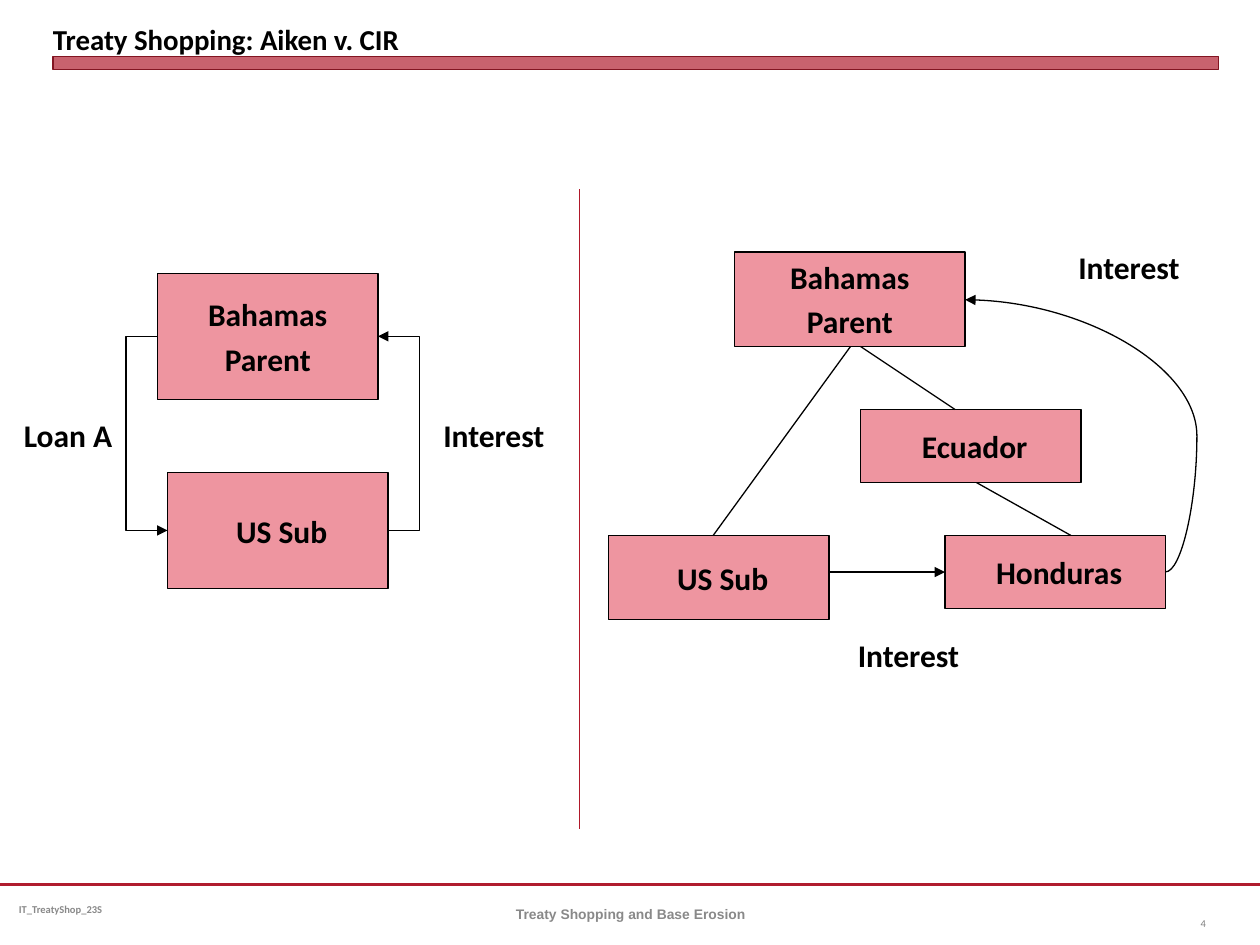
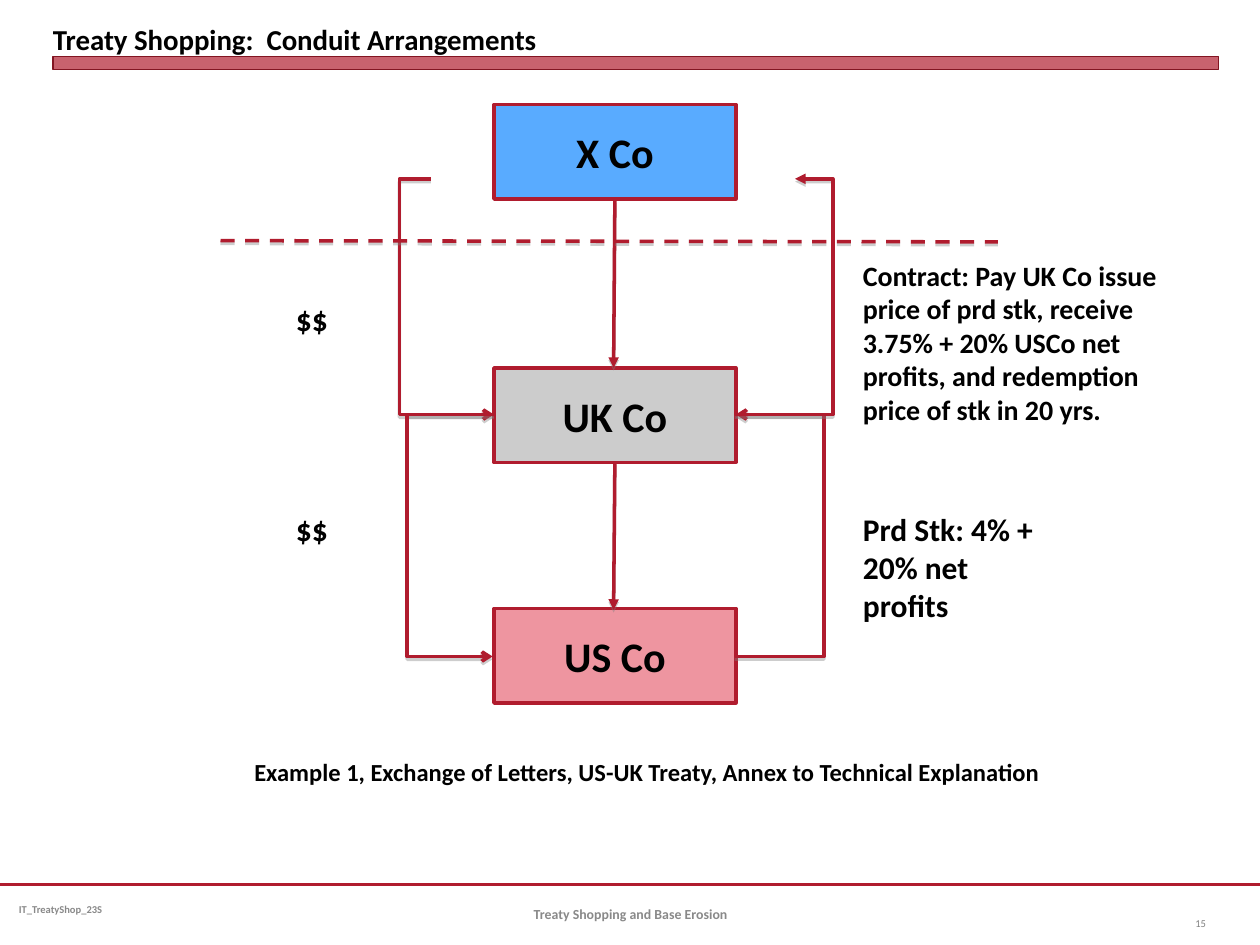
from lxml import etree
from pptx import Presentation
from pptx.dml.color import RGBColor
from pptx.enum.dml import MSO_LINE
from pptx.enum.shapes import MSO_CONNECTOR, MSO_SHAPE
from pptx.enum.text import MSO_ANCHOR, PP_ALIGN
from pptx.oxml.ns import qn
from pptx.util import Inches, Pt

RECT = MSO_SHAPE.RECTANGLE
STRAIGHT, ELBOW, CURVE = MSO_CONNECTOR.STRAIGHT, MSO_CONNECTOR.ELBOW, MSO_CONNECTOR.CURVE
LEFT, MID, RIGHT = PP_ALIGN.LEFT, PP_ALIGN.CENTER, PP_ALIGN.RIGHT
CENTRE, BOTTOM = MSO_ANCHOR.MIDDLE, MSO_ANCHOR.BOTTOM

HEX = {"red": "B01C2E", "edge": "821522", "split": "B0182A", "pink": "EE95A0",
       "blue": "59ABFF", "grey": "CCCCCC", "black": "000000",
       "foot": "898989", "page": "808080", "shade": "808080"}
FONT = "Calibri"
CODE, COURSE = "IT_TreatyShop_23S", "Treaty Shopping and Base Erosion"

# Boxes: text, left, top, width, height, fill, left inset
# Lines: kind, from, to, x of the bend, arrowhead
# Labels: text, left, top, width, height, size, alignment
AIKEN = {
    "title": "Treaty Shopping: Aiken v. CIR", "page": "4", "font": "Arial",
    "ink": "black", "weight": 0.75, "size": 18, "shade": False,
    "boxes": [
        ("Bahamas\nParent", 1.25, 2.17, 1.75, 1, "pink", 0.1),
        ("US Sub", 1.33, 3.75, 1.75, 0.92, "pink", 0.16),
        ("Bahamas\nParent", 5.83, 2, 1.83, 0.75, "pink", 0.1),
        ("Ecuador", 6.83, 3.25, 1.75, 0.58, "pink", 0.16),
        ("US Sub", 4.83, 4.25, 1.75, 0.67, "pink", 0.16),
        ("Honduras", 7.5, 4.25, 1.75, 0.58, "pink", 0.16),
    ],
    "lines": [
        (ELBOW, (1.25, 2.67), (1.33, 4.21), 1, "triangle"),
        (ELBOW, (3.08, 4.21), (3, 2.67), 3.33, "triangle"),
        (STRAIGHT, (6.75, 2.75), (5.66, 4.25), None, None),
        (STRAIGHT, (6.83, 2.75), (7.58, 3.25), None, None),
        (STRAIGHT, (7.75, 3.83), (8.5, 4.25), None, None),
        (STRAIGHT, (6.58, 4.54), (7.5, 4.54), None, "triangle"),
        (CURVE, (9.25, 4.54), (7.66, 2.38), 9.5, "triangle"),
    ],
    "labels": [
        ("Loan A", -0.17, 3.25, 1.42, 0.4, 18, MID),
        ("Interest", 3.21, 3.25, 1.42, 0.4, 18, MID),
        ("Interest", 8.25, 1.92, 1.42, 0.4, 18, MID),
        ("Interest", 6.5, 5, 1.42, 0.4, 18, MID),
    ],
}
CONDUIT = {
    "title": "Treaty Shopping:  Conduit Arrangements", "page": "15", "font": FONT,
    "ink": "red", "weight": 2, "size": 24, "shade": True,
    "boxes": [
        ("X Co", 3.92, 0.83, 1.92, 0.75, "blue", 0.1),
        ("UK Co", 3.92, 2.92, 1.92, 0.75, "grey", 0.1),
        ("US Co", 3.92, 4.83, 1.92, 0.75, "pink", 0.1),
    ],
    "lines": [
        (STRAIGHT, (4.88, 1.59), (4.87, 2.92), None, "triangle"),
        (STRAIGHT, (4.88, 3.67), (4.87, 4.84), None, "triangle"),
        (ELBOW, (3.42, 1.42), (3.92, 3.29), 3.17, "arrow"),
        (ELBOW, (3.92, 3.29), (3.91, 5.21), 3.22, "arrow"),
        (ELBOW, (5.83, 5.21), (5.84, 3.29), 6.55, "arrow"),
        (ELBOW, (5.83, 3.29), (6.31, 1.42), 6.61, "triangle"),
    ],
    "labels": [
        ("$$", 2.25, 2.33, 0.92, 0.42, 18, LEFT),
        ("$$", 2.25, 4, 0.92, 0.42, 18, LEFT),
        ("Contract: Pay UK Co issue price of prd stk, receive 3.75% + 20% USCo net "
         "profits, and redemption price of stk in 20 yrs.", 6.75, 2, 2.67, 1.45, 16, LEFT),
        ("Prd Stk: 4% + 20% net profits", 6.75, 4, 1.58, 1.01, 18, LEFT),
        ("Example 1, Exchange of Letters, US-UK Treaty, Annex to Technical Explanation",
         1.92, 5.96, 6.67, 0.34, 14, LEFT),
    ],
}


def rgb(name):
    return RGBColor.from_string(HEX[name])


def sub(node, tag, **attrs):
    return etree.SubElement(node, qn(tag), {k: str(v) for k, v in attrs.items()})


def write(frame, text, size, color="black", align=LEFT, font=FONT, bold=True):
    frame.text = text
    for i, para in enumerate(frame.paragraphs):
        para.alignment = align
        if i:
            para.space_before = Pt(size * 0.2)
        face = para.font
        face.name, face.size, face.bold = font, Pt(size), bold
        face.color.rgb = rgb(color)


def label(slide, text, x, y, w, h, size, align, anchor=None, **style):
    box = slide.shapes.add_textbox(*map(Inches, (x, y, w, h)))
    frame = box.text_frame
    frame.word_wrap = True
    if anchor is not None:
        frame.vertical_anchor = anchor
    write(frame, text, size, align=align, **style)
    return frame


def block(slide, x, y, w, h, fill, ink, weight):
    shape = slide.shapes.add_shape(RECT, *map(Inches, (x, y, w, h)))
    shape.shadow.inherit = False
    shape.fill.solid()
    shape.fill.fore_color.rgb = rgb(fill)
    shape.line.color.rgb = rgb(ink)
    shape.line.width = Pt(weight)
    return shape


def link(slide, kind, start, end, bend, head, ink, weight, shade=False, dash=None):
    line = slide.shapes.add_connector(kind, *map(Inches, start + end))
    line.line.color.rgb = rgb(ink)
    line.line.width = Pt(weight)
    if dash:
        line.line.dash_style = dash
    props = line._element.spPr
    if head:
        sub(props.find(qn("a:ln")), "a:tailEnd", type=head)
    if bend is not None:
        # The bend is a share of the run from start to end
        share = round((bend - start[0]) / (end[0] - start[0]) * 100000)
        geom = props.find(qn("a:prstGeom"))
        guides = geom.find(qn("a:avLst"))
        if guides is None:
            guides = sub(geom, "a:avLst")
        sub(guides, "a:gd", name="adj1", fmla=f"val {share}")
    effects = sub(props, "a:effectLst")
    if shade:
        cast = sub(effects, "a:outerShdw", blurRad=0, dist=Pt(1.6),
                   dir=5400000, rotWithShape=0)
        sub(sub(cast, "a:srgbClr", val=HEX["shade"]), "a:alpha", val=38000)


def frame_slide(deck, data):
    slide = deck.slides.add_slide(deck.slide_layouts[5])
    # Footer rule and title band
    link(slide, STRAIGHT, (0, 7.02), (10, 7.02), None, None, "red", 1.25)
    band = block(slide, 0.42, 0.45, 9.25, 0.1, "red", "edge", 0)
    tint = band._element.spPr.find(qn("a:solidFill"))[0]
    sub(tint, "a:alpha", val=69000)
    # Title
    title = slide.shapes.title
    title.left, title.top, title.width, title.height = map(Inches, (0.42, 0.05, 9.25, 0.4))
    text = title.text_frame
    text.margin_left = text.margin_right = text.margin_top = text.margin_bottom = 0
    text.vertical_anchor = BOTTOM
    write(text, data["title"], 16.5)
    # Footers
    code = label(slide, CODE, 0.08, 7.02, 2.58, 0.4, 6, LEFT, CENTRE, color="foot")
    code.margin_left = code.margin_right = Inches(0.07)
    label(slide, COURSE, 3.42, 7.05, 3.17, 0.4, 7.9, MID, CENTRE,
          color="foot", font=data["font"])
    label(slide, data["page"], 9.17, 7.13, 0.5, 0.4, 6, RIGHT, CENTRE,
          color="page", bold=False)
    return slide


def build(deck, data):
    slide = frame_slide(deck, data)
    pen = data["ink"], data["weight"]
    for text, x, y, w, h, fill, inset in data["boxes"]:
        frame = block(slide, x, y, w, h, fill, *pen).text_frame
        frame.word_wrap = False
        frame.vertical_anchor = CENTRE
        frame.margin_left = Inches(inset)
        write(frame, text, data["size"], align=MID)
    for line in data["lines"]:
        link(slide, *line, *pen, data["shade"])
    for item in data["labels"]:
        label(slide, *item)
    return slide


def main():
    deck = Presentation()
    deck.slide_width, deck.slide_height = Inches(10), Inches(7.5)
    # Divider between the two structures
    aiken = build(deck, AIKEN)
    link(aiken, STRAIGHT, (4.6, 1.5), (4.6, 6.58), None, None, "split", 0.75)
    # Border between the countries
    conduit = build(deck, CONDUIT)
    link(conduit, STRAIGHT, (1.75, 1.91), (7.92, 1.92), None, None, "red", 2,
         True, MSO_LINE.DASH)
    deck.save("out.pptx")


if __name__ == "__main__":
    main()
